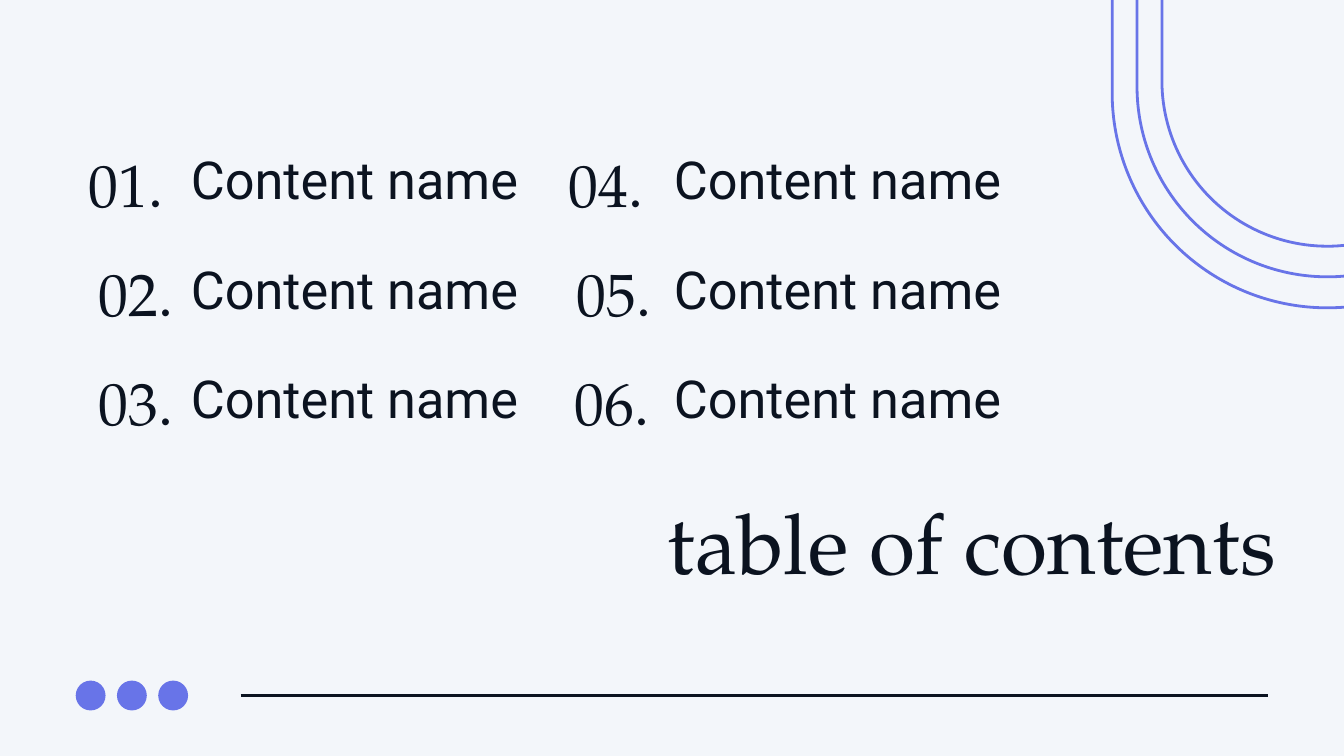
from dataclasses import dataclass

import pptx
import pptx.dml.color
import pptx.enum.shapes
import pptx.enum.text
import pptx.oxml.ns
import pptx.util
from lxml import etree

Pt = pptx.util.Pt
ALIGN = pptx.enum.text.PP_ALIGN
SHAPE = pptx.enum.shapes.MSO_SHAPE
INK, VIOLET, PAPER = "0B1320", "6874E8", "F3F6FA"
SERIF, SANS = "TeX Gyre Pagella", "Roboto"
ROW_STEP = 117
NAME_LEFTS = (204.5, 722)
DOT_STEP = 44.2
RULE_Y = 745.2
ARCH_CENTER = 1422


@dataclass
class Style:
    font: str
    size: float
    spacing: float
    align: ALIGN


@dataclass
class Entry:
    number: str
    left: float
    width: float


@dataclass
class Arch:
    radius: float
    top: float
    bottom: float


TITLE = Style(SERIF, 90, 1.2, ALIGN.RIGHT)
NUMBER = Style(SERIF, 64, 1.4, ALIGN.CENTER)
NAME = Style(SANS, 56, 1.2, ALIGN.LEFT)

COLUMNS = (
    (Entry("01.", 81.4, 107.3), Entry("02.", 97.2, 96.5), Entry("03.", 98.6, 94.3)),
    (Entry("04.", 593.3, 112.3), Entry("05.", 611, 92.9), Entry("06.", 605.2, 101.5)),
)
ARCHES = (
    Arch(230.4, -237.6, 329.8),
    Arch(203.8, -204.5, 296.6),
    Arch(177.1, -172.1, 263.8),
)


def rgb(value: str) -> pptx.dml.color.RGBColor:
    return pptx.dml.color.RGBColor.from_string(value)


def add_text(s, text: str, left: float, top: float, width: float, height: float, style: Style) -> None:
    tf = s.shapes.add_textbox(Pt(left), Pt(top), Pt(width), Pt(height)).text_frame
    tf.word_wrap = True
    tf.auto_size = pptx.enum.text.MSO_AUTO_SIZE.SHAPE_TO_FIT_TEXT
    tf.margin_left = tf.margin_right = tf.margin_top = tf.margin_bottom = 0
    p = tf.paragraphs[0]
    p.alignment = style.align
    p.line_spacing = style.spacing
    r = p.add_run()
    r.text = text
    r.font.name = style.font
    r.font.size = Pt(style.size)
    r.font.color.rgb = rgb(INK)


def add_dot(s, left: float) -> None:
    sp = s.shapes.add_shape(SHAPE.OVAL, Pt(left), Pt(RULE_Y - 16), Pt(32), Pt(32))
    sp.shadow.inherit = False
    sp.fill.solid()
    sp.fill.fore_color.rgb = rgb(VIOLET)
    sp.line.fill.background()


def add_rule(s) -> None:
    sp = s.shapes.add_connector(
        pptx.enum.shapes.MSO_CONNECTOR.STRAIGHT, Pt(257.8), Pt(RULE_Y), Pt(1359), Pt(RULE_Y)
    )
    sp.line.color.rgb = rgb(INK)
    sp.line.width = Pt(3)
    etree.SubElement(sp.element.spPr, pptx.oxml.ns.qn("a:effectLst"))


def add_arch(s, arch: Arch) -> None:
    sp = s.shapes.add_shape(
        SHAPE.ROUND_2_SAME_RECTANGLE,
        Pt(ARCH_CENTER - arch.radius),
        Pt(arch.top),
        Pt(2 * arch.radius),
        Pt(arch.bottom - arch.top),
    )
    sp.adjustments[0] = 0.5
    sp.rotation = 180
    sp.shadow.inherit = False
    sp.fill.background()
    sp.line.color.rgb = rgb(VIOLET)
    sp.line.width = Pt(3)


def main() -> None:
    prs = pptx.Presentation()
    prs.slide_width, prs.slide_height = Pt(1440), Pt(810)
    s = prs.slides.add_slide(prs.slide_layouts[6])
    s.background.fill.solid()
    s.background.fill.fore_color.rgb = rgb(PAPER)

    add_text(s, "table of contents", 695.2, 504.4, 671.8, 216, TITLE)
    for name_left, entries in zip(NAME_LEFTS, COLUMNS):
        for row, entry in enumerate(entries):
            offset = row * ROW_STEP
            add_text(s, entry.number, entry.left, 127.6 + offset, entry.width, 85.7, NUMBER)
            add_text(s, "Content name", name_left, 144.7 + offset, 388, 68.4, NAME)

    add_rule(s)
    for i in range(3):
        add_dot(s, 81.1 + i * DOT_STEP)
    for arch in ARCHES:
        add_arch(s, arch)

    prs.save("out.pptx")


if __name__ == "__main__":
    main()
